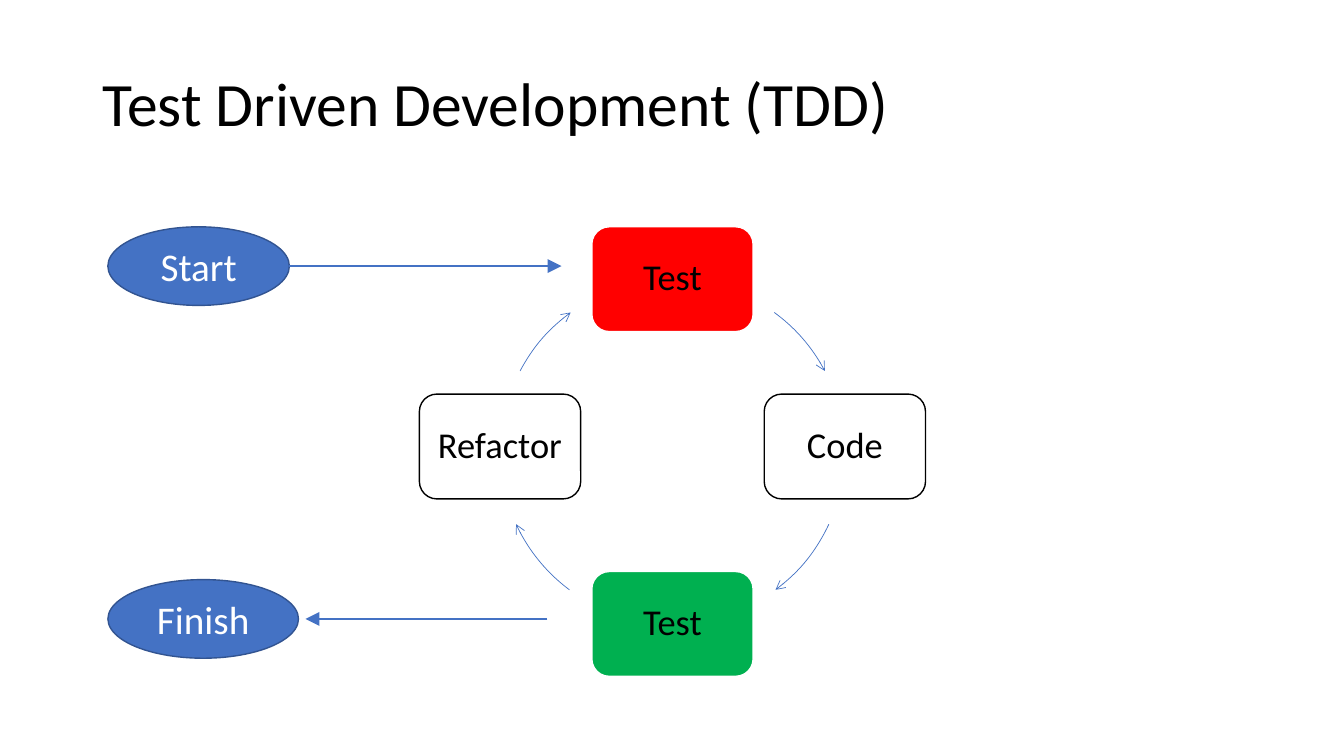
from lxml import etree
from pptx import Presentation
from pptx import util as u
from pptx.dml.color import RGBColor
from pptx.enum import shapes, text
from pptx.oxml import ns

COLORS = {"black": "000000", "white": "FFFFFF", "blue": "4472C4",
          "navy": "325491", "red": "FF0000", "green": "00B050"}


def rgb(name):
    return RGBColor.from_string(COLORS[name])


def write(frame, words, size=26, color="black", align=text.PP_ALIGN.CENTER,
          spacing=1.0, inset=0.1):
    """Put one formatted, vertically centred line of text in a frame."""
    frame.word_wrap = True
    frame.vertical_anchor = text.MSO_ANCHOR.MIDDLE
    frame.margin_left = frame.margin_right = u.Inches(inset)
    paragraph = frame.paragraphs[0]
    paragraph.alignment = align
    paragraph.line_spacing = spacing
    run = paragraph.add_run()
    run.text = words
    run.font.name = "Calibri"
    run.font.size = u.Pt(size)
    run.font.color.rgb = rgb(color)


class Diagram:
    def __init__(self, slide, accent="blue"):
        self.slide = slide
        self.accent = accent

    def title(self, words, left, top, width, height):
        box = self.slide.shapes.add_textbox(*map(u.Inches, (left, top, width, height)))
        write(box.text_frame, words, size=44, align=text.PP_ALIGN.LEFT, spacing=0.9)

    def shape(self, kind, left, top, width, height, line, weight=1, fill=None):
        item = self.slide.shapes.add_shape(
            kind, *map(u.Inches, (left, top, width, height)))
        item.shadow.inherit = False
        if fill:
            item.fill.solid()
            item.fill.fore_color.rgb = rgb(fill)
        else:
            item.fill.background()
        item.line.color.rgb = rgb(line)
        item.line.width = u.Pt(weight)
        return item

    def step(self, words, center_x, center_y, fill, line):
        width, height = 1.6, 1.04
        box = self.shape(shapes.MSO_SHAPE.ROUNDED_RECTANGLE, center_x - width / 2,
                         center_y - height / 2, width, height, line, fill=fill)
        write(box.text_frame, words, spacing=0.9, inset=0.02)

    def terminal(self, words, left, top, width):
        oval = self.shape(shapes.MSO_SHAPE.OVAL, left, top, width, 0.78,
                          "navy", fill=self.accent)
        write(oval.text_frame, words, size=28, color="white")

    def arc(self, center_x, center_y, radius, start, end):
        """Arrow along a circle; angles in degrees clockwise from the right."""
        curve = self.shape(shapes.MSO_SHAPE.ARC, center_x - radius, center_y - radius,
                           2 * radius, 2 * radius, self.accent, weight=0.5)
        for index, angle in enumerate((start, end)):
            curve.adjustments[index] = angle * 0.6
        self.arrowhead(curve, "arrow", "med")

    def arrow(self, start_x, end_x, y):
        link = self.slide.shapes.add_connector(
            shapes.MSO_CONNECTOR.STRAIGHT, *map(u.Inches, (start_x, y, end_x, y)))
        link.line.color.rgb = rgb(self.accent)
        link.line.width = u.Pt(1)
        self.arrowhead(link, "triangle", "lg")
        etree.SubElement(link._element.spPr, ns.qn("a:effectLst"))

    def arrowhead(self, item, kind, size):
        line = item.line._get_or_add_ln()
        etree.SubElement(line, ns.qn("a:tailEnd"), type=kind, w=size, len=size)


def main():
    deck = Presentation()
    deck.slide_width, deck.slide_height = u.Inches(13.33), u.Inches(7.5)
    diagram = Diagram(deck.slides.add_slide(deck.slide_layouts[6]))

    # Title
    diagram.title("Test Driven Development (TDD)", 0.92, 0.33, 11.5, 1.45)

    # Cycle: clockwise from the top, each step followed by its arrow
    center_x, center_y, radius = 6.67, 4.48, 1.71
    side_y = 4.43
    cycle = [("Test", center_x, center_y - radius, "red", "white", 306.2, 332.1),
             ("Code", center_x + radius, side_y, "white", "black", 24.9, 53.3),
             ("Test", center_x, center_y + radius, "green", "white", 126.7, 155.1),
             ("Refactor", center_x - radius, side_y, "white", "black", 207.9, 233.8)]
    for words, step_x, step_y, fill, line, start, end in cycle:
        diagram.step(words, step_x, step_y, fill, line)
        diagram.arc(center_x, center_y, radius, start, end)

    # Way in and way out
    diagram.terminal("Start", 1.07, 2.25, 1.8)
    diagram.terminal("Finish", 1.07, 5.75, 1.89)
    diagram.arrow(2.87, 5.57, 2.64)
    diagram.arrow(5.43, 3.03, 6.14)

    deck.save("out.pptx")


if __name__ == "__main__":
    main()
